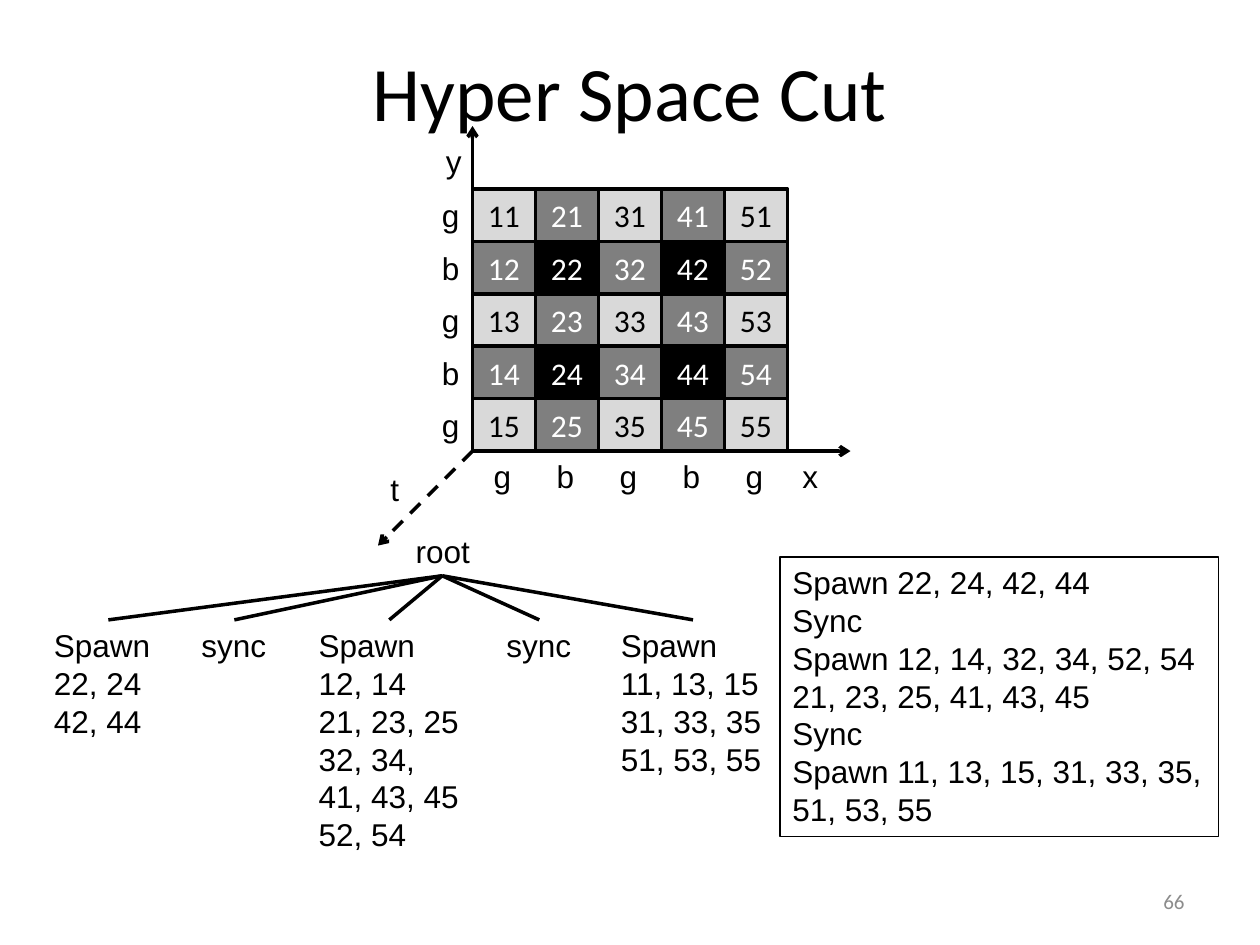
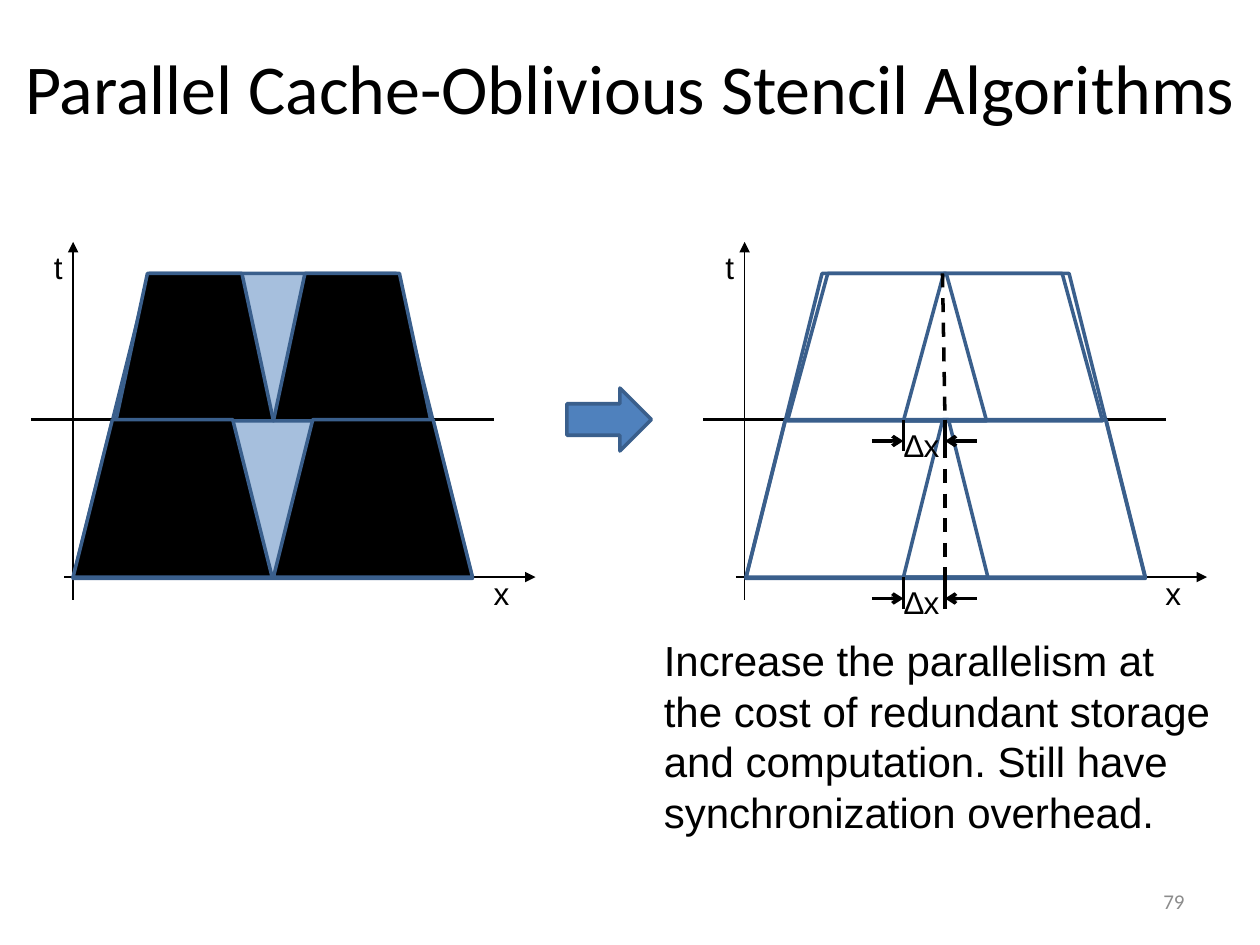
from dataclasses import dataclass

import lxml.etree
import pptx
import pptx.dml.color
import pptx.enum.dml
import pptx.enum.shapes
import pptx.enum.text
import pptx.oxml.ns
import pptx.presentation
import pptx.shapes.base
import pptx.slide
import pptx.text.text
import pptx.util

Inches = pptx.util.Inches
Shapes = pptx.enum.shapes.MSO_SHAPE
Align = pptx.enum.text.PP_ALIGN
Anchor = pptx.enum.text.MSO_ANCHOR
AutoSize = pptx.enum.text.MSO_AUTO_SIZE

COLORS = {
    "black": "000000",
    "white": "FFFFFF",
    "blue": "4F81BD",
    "outline": "3A5F8C",
    "page": "8C8C8C",
}
TITLE_ONLY = 5


@dataclass(frozen=True)
class Box:
    left: float
    top: float
    width: float
    height: float

    def lengths(self) -> tuple[pptx.util.Length, ...]:
        return tuple(Inches(v) for v in (self.left, self.top, self.width, self.height))


@dataclass(frozen=True)
class Label:
    text: str
    box: Box


@dataclass(frozen=True)
class Segment:
    start: tuple[float, float]
    end: tuple[float, float]
    width: float = 2
    head: str = ""
    dashed: bool = False


@dataclass(frozen=True)
class Trapezoid:
    box: Box
    inset: float = 0
    fill: str = ""
    opacity: int = 100


def color(name: str) -> pptx.dml.color.RGBColor:
    return pptx.dml.color.RGBColor.from_string(COLORS[name])


def format_text(frame: pptx.text.text.TextFrame, size: float, font: str, ink: str,
                alignment: Align = Align.LEFT) -> None:
    for paragraph in frame.paragraphs:
        paragraph.alignment = alignment
        for run in paragraph.runs:
            run.font.size = pptx.util.Pt(size)
            run.font.name = font
            run.font.color.rgb = color(ink)


def add_text(slide: pptx.slide.Slide, label: Label, size: float = 18,
             wrap: bool = False) -> pptx.shapes.base.BaseShape:
    shape = slide.shapes.add_textbox(*label.box.lengths())
    frame = shape.text_frame
    frame.text = label.text
    frame.word_wrap = wrap
    frame.auto_size = AutoSize.SHAPE_TO_FIT_TEXT
    format_text(frame, size, "Arial", "black")
    return shape


def add_segment(slide: pptx.slide.Slide, segment: Segment) -> None:
    connector = slide.shapes.add_connector(
        pptx.enum.shapes.MSO_CONNECTOR.STRAIGHT,
        *(Inches(value) for value in segment.start + segment.end))
    connector.line.color.rgb = color("black")
    connector.line.width = pptx.util.Pt(segment.width)
    if segment.dashed:
        connector.line.dash_style = pptx.enum.dml.MSO_LINE.DASH
    qualified = pptx.oxml.ns.qn
    if segment.head:
        lxml.etree.SubElement(connector.line._get_or_add_ln(),
                              qualified("a:tailEnd"), type=segment.head)
    lxml.etree.SubElement(connector._element.spPr, qualified("a:effectLst"))


def paint(shape: pptx.shapes.base.BaseShape, fill: str, outline: str,
          opacity: int = 100) -> None:
    shape.shadow.inherit = False
    shape.line.color.rgb = color(outline)
    shape.line.width = pptx.util.Pt(2)
    if not fill:
        shape.fill.background()
        return
    shape.fill.solid()
    shape.fill.fore_color.rgb = color(fill)
    if opacity < 100:
        qualified = pptx.oxml.ns.qn
        fill_color = shape._element.spPr.find(
            f"{qualified('a:solidFill')}/{qualified('a:srgbClr')}")
        lxml.etree.SubElement(fill_color, qualified("a:alpha"), val=str(opacity * 1000))


def add_trapezoid(slide: pptx.slide.Slide, trapezoid: Trapezoid) -> None:
    box, inset = trapezoid.box, trapezoid.inset
    if inset:
        right, bottom = box.left + box.width, box.top + box.height
        builder = slide.shapes.build_freeform(Inches(box.left), Inches(bottom))
        corners = [(box.left + inset, box.top), (right - inset, box.top), (right, bottom)]
        builder.add_line_segments([(Inches(x), Inches(y)) for x, y in corners], close=True)
        shape = builder.convert_to_shape()
    else:
        shape = slide.shapes.add_shape(Shapes.TRAPEZOID, *box.lengths())
    paint(shape, trapezoid.fill, "outline", trapezoid.opacity)


def add_slide(presentation: pptx.presentation.Presentation, title: str, title_box: Box,
              title_size: float, page: int) -> pptx.slide.Slide:
    slide = presentation.slides.add_slide(presentation.slide_layouts[TITLE_ONLY])
    placeholder = slide.shapes.title
    placeholder.left, placeholder.top, placeholder.width, placeholder.height = title_box.lengths()
    frame = placeholder.text_frame
    frame.text = title
    frame.auto_size = AutoSize.NONE
    frame.vertical_anchor = Anchor.TOP
    format_text(frame, title_size, "Calibri", "black", Align.CENTER)

    number = slide.shapes.add_textbox(*Box(7.17, 6.95, 2.33, 0.4).lengths())
    number.text_frame.text = str(page)
    number.text_frame.word_wrap = True
    number.text_frame.vertical_anchor = Anchor.MIDDLE
    format_text(number.text_frame, 12, "Calibri", "page", Align.RIGHT)
    return slide


def add_cell_grid(slide: pptx.slide.Slide) -> None:
    left, top, bottom, cell_width, count = 3.75, 1.5, 3.58, 0.5, 5
    cell_height = (bottom - top) / count
    shades = [(15, "black"), (50, "white"), (100, "white")]
    for row in range(count):
        for column in range(count):
            opacity, ink = shades[row % 2 + column % 2]
            box = Box(left + column * cell_width, top + row * cell_height,
                      cell_width, cell_height)
            cell = slide.shapes.add_shape(Shapes.RECTANGLE, *box.lengths())
            paint(cell, "black", "black", opacity)
            cell.text_frame.text = f"{column + 1}{row + 1}"
            format_text(cell.text_frame, 18, "Calibri", ink, Align.CENTER)
    for index, letter in enumerate("gbgbg"):
        add_text(slide, Label(letter, Box(3.41, 1.51 + index * cell_height, 0.34, 0.4)))
        add_text(slide, Label(letter, Box(3.82 + index * cell_width, 3.58, 0.34, 0.4)))

    origin = (left, bottom)
    add_segment(slide, Segment(origin, (6.75, bottom), head="arrow"))
    add_segment(slide, Segment(origin, (left, 1), head="arrow"))
    add_segment(slide, Segment(origin, (3, 4.33), head="arrow", dashed=True))
    for label in (Label("x", Box(6.27, 3.58, 0.31, 0.4)),
                  Label("y", Box(3.44, 1.08, 0.32, 0.4)),
                  Label("t", Box(3, 3.68, 0.29, 0.4))):
        add_text(slide, label)


def add_spawn_tree(slide: pptx.slide.Slide) -> None:
    add_text(slide, Label("root", Box(3.2, 4.17, 0.64, 0.4)))
    top = 4.92
    branches = [
        (0.86, Label("Spawn\n22, 24\n42, 44", Box(0.33, top, 1.04, 1.01))),
        (1.86, Label("sync", Box(1.5, top, 0.72, 0.4))),
        (3.09, Label("Spawn\n12, 14\n21, 23, 25\n32, 34,\n41, 43, 45\n52, 54",
                     Box(2.43, top, 1.32, 1.92))),
        (4.28, Label("sync", Box(3.92, top, 0.72, 0.4))),
        (5.5, Label("Spawn\n11, 13, 15\n31, 33, 35\n51, 53, 55",
                    Box(4.83, top, 1.32, 1.31))),
    ]
    for x, label in branches:
        add_segment(slide, Segment((3.51, 4.57), (x, top)))
        add_text(slide, label)


def build_hyper_space_cut(presentation: pptx.presentation.Presentation) -> None:
    slide = add_slide(presentation, "Hyper Space Cut", Box(0.5, 0.3, 9, 0.87), 44, 66)
    add_spawn_tree(slide)
    add_cell_grid(slide)
    schedule = add_text(slide, Label(
        "Spawn 22, 24, 42, 44\nSync\nSpawn 12, 14, 32, 34, 52, 54\n"
        "21, 23, 25, 41, 43, 45\nSync\nSpawn 11, 13, 15, 31, 33, 35,\n51, 53, 55",
        Box(6.19, 4.42, 3.48, 2.22)))
    schedule.line.color.rgb = color("black")
    schedule.line.width = pptx.util.Pt(0.75)


def add_space_time_panel(slide: pptx.slide.Slide, left: float, outer: Trapezoid,
                         pieces: list[Trapezoid]) -> None:
    add_segment(slide, Segment((left - 0.07, 4.58), (left + 3.67, 4.58), 0.75, "triangle"))
    add_segment(slide, Segment((left, 4.76), (left, 1.92), 0.75, "triangle"))
    add_text(slide, Label("t", Box(left - 0.25, 1.92, 0.3, 0.4)))
    add_text(slide, Label("x", Box(left + 3.24, 4.51, 0.35, 0.4)))
    add_trapezoid(slide, outer)
    add_segment(slide, Segment((left - 0.33, 3.33), (left + 3.34, 3.33)))
    for piece in pieces:
        add_trapezoid(slide, piece)


def add_overlap_mark(slide: pptx.slide.Slide, top: float, arrow_y: float) -> None:
    start, end, reach = 7.17, 7.5, 0.25
    for x, tail_x in ((start, start - reach), (end, end + reach)):
        add_segment(slide, Segment((x, top), (x, top + 0.25)))
        add_segment(slide, Segment((tail_x, arrow_y), (x, arrow_y), head="arrow"))
    add_text(slide, Label("∆x", Box(7.08, top, 0.48, 0.4)))


def build_stencil_algorithms(presentation: pptx.presentation.Presentation) -> None:
    slide = add_slide(presentation, "Parallel Cache-Oblivious Stencil Algorithms",
                      Box(0, 0.3, 10, 0.7), 40, 79)
    add_space_time_panel(
        slide, 0.58, Trapezoid(Box(0.58, 2.17, 3.17, 2.42), fill="blue", opacity=50),
        [Trapezoid(Box(x, 2.17, 1.25, 1.17), 0.25, "black") for x in (0.92, 2.17)]
        + [Trapezoid(Box(x, 3.33, 1.58, 1.25), fill="black") for x in (0.58, 2.17)])
    add_space_time_panel(
        slide, 5.91, Trapezoid(Box(5.92, 2.17, 3.17, 2.42)),
        [Trapezoid(Box(x, 2.17, 1.58, 1.17), 0.32) for x in (6.25, 7.17)]
        + [Trapezoid(Box(x, 3.33, 1.92, 1.25)) for x in (5.92, 7.17)])

    arrow = slide.shapes.add_shape(Shapes.RIGHT_ARROW, *Box(4.5, 3.08, 0.67, 0.5).lengths())
    paint(arrow, "blue", "outline")
    add_segment(slide, Segment((7.48, 2.17), (7.5, 3.33), dashed=True))
    add_segment(slide, Segment((7.5, 3.33), (7.5, 4.58), dashed=True))
    add_overlap_mark(slide, 4.58, 4.75)
    add_overlap_mark(slide, 3.33, 3.5)
    add_text(slide, Label(
        "Increase the parallelism at the cost of redundant storage and computation. "
        "Still have synchronization overhead.", Box(5.17, 4.99, 4.59, 1.72)), 24, True)


def main() -> None:
    presentation = pptx.Presentation()
    presentation.slide_width = Inches(10)
    presentation.slide_height = Inches(7.5)
    build_hyper_space_cut(presentation)
    build_stencil_algorithms(presentation)
    presentation.save("out.pptx")


if __name__ == "__main__":
    main()
